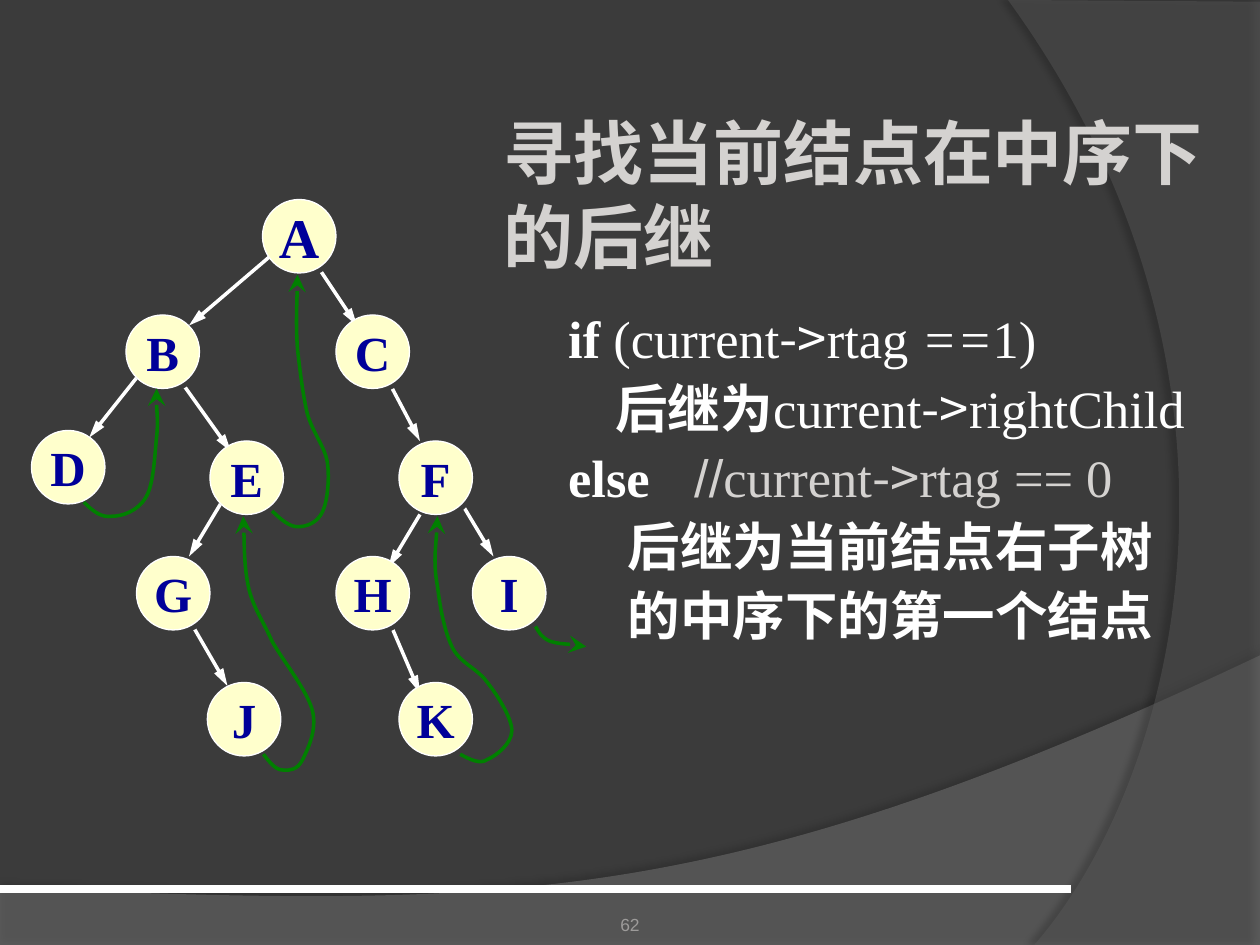
"""Build the slide on finding the in-order successor in a threaded binary tree."""
import pptx
import pptx.util
import pptx.dml.color
import pptx.enum.shapes
import pptx.enum.text
import pptx.oxml.ns
from dataclasses import dataclass
from lxml import etree

Pt = pptx.util.Pt
qn = pptx.oxml.ns.qn
Align = pptx.enum.text.PP_ALIGN
Anchor = pptx.enum.text.MSO_ANCHOR


@dataclass(frozen=True)
class Theme:
    background: str = "3B3B3B"
    bottom_swoosh: str = "7F7F7F"
    right_swoosh: str = "5E5E5E"
    white: str = "FFFFFF"
    black: str = "000000"
    muted: str = "D4D2D0"
    page_number: str = "9D9B9A"
    node_fill: str = "FFFFCC"
    node_text: str = "000099"
    thread: str = "008000"
    serif: str = "Times New Roman"
    sans: str = "Arial"
    chinese: str = "Noto Sans CJK SC"
    title_size: float = 40
    body_size: float = 30
    root_size: float = 32
    node_size: float = 28
    small_size: float = 10


THEME = Theme()
NODE_DIAMETER = 42
NODES = {
    "A": (150, 114), "B": (72, 180), "D": (18, 246), "E": (120, 252),
    "C": (192, 180), "F": (228, 252), "H": (192, 318), "I": (270, 318),
    "K": (228, 390), "G": (78, 318), "J": (118.5, 390),
}
EDGES = [
    (180, 150, 204, 186), (221, 216, 240, 252), (264, 288, 282, 318),
    (240, 294, 222, 324), (222, 354, 240, 396), (155.5, 145.5, 108, 186),
    (102, 216, 132, 258), (126, 288, 108, 318), (108, 354, 130, 392),
    (78, 216, 51, 250),
]
THREADS = [
    [(48, 287), (53, 292, 58, 296, 64, 295), (70, 295, 79, 292, 83.5, 284),
     (88, 276.5, 88.5, 259, 89.5, 250), (90.5, 241, 89.5, 235, 89.5, 230),
     (89.5, 225, 89.5, 223, 89.5, 222)],
    [(155.5, 292), (160.5, 297, 165.5, 301, 170, 301), (175, 301, 181.5, 299, 184.5, 292),
     (187, 286.5, 188.5, 273.5, 187, 264), (185.5, 255, 178.5, 247, 175.5, 236),
     (173, 225, 171.5, 212.5, 170, 199.5), (169, 186, 170, 163.5, 170, 157)],
    [(150.5, 431), (154, 435.5, 157.5, 440, 161.5, 440), (165.5, 440.5, 170, 440, 173, 434),
     (175.5, 428.5, 181.5, 417.5, 178.5, 406), (175.5, 394.5, 162, 378, 155.5, 366.5),
     (150, 354, 144.5, 347, 142, 335.5), (139.5, 323.5, 139.5, 302.5, 139, 295)],
    [(263, 431), (268.5, 434, 274.5, 437, 278.5, 434), (283.5, 432, 292.5, 425, 292.5, 417.5),
     (292.5, 410.5, 284.5, 397.5, 278.5, 390), (273.5, 382.5, 264, 379.5, 259, 371),
     (254, 361.5, 251.5, 347, 250, 335), (247.5, 322, 250, 301.5, 250, 295)],
    [(306, 358), (308, 361.5, 309.5, 364.5, 314.5, 366.5), (319.5, 368, 331, 368.5, 335, 369.5)],
]
BOTTOM = [(0, 507.5), (0, 540.5), (720, 540.5), (720, 374.5), (402.5, 525, 281.5, 517.5, 0, 507.5)]
RIGHT = [(720, 1), (720, 540), (591, 540), (673, 446, 733, 216, 576, 0)]
PLAIN = {}
BOLD = {"bold": True}
CODE = {"font": THEME.chinese}
COMMENT = {"color": THEME.muted}
BODY = [
    (0, [("if", BOLD), (" (current", PLAIN), ("->", CODE), ("rtag ", PLAIN),
         ("==", {"italic": True}), ("1)", PLAIN)]),
    (27, [("后继为", BOLD), ("current", PLAIN), ("->", CODE), ("rightChild", PLAIN)]),
    (0, [("else\t", BOLD), ("//", {"font": THEME.sans, **COMMENT}), ("current", COMMENT),
         ("->", {**CODE, **COMMENT}), ("rtag == 0", COMMENT)]),
    (34, [("后继为当前结点右子树", BOLD)]),
    (34, [("的中序下的第一个结点", BOLD)]),
]


def rgb(color):
    return pptx.dml.color.RGBColor.from_string(color)


def add_child(parent, tag, **attributes):
    return etree.SubElement(parent, qn(tag), attributes)


def format_span(span, size, color=THEME.white, font=THEME.serif, bold=False, italic=False):
    span.font.size, span.font.name = Pt(size), font
    span.font.bold, span.font.italic = bold, italic
    span.font.color.rgb = rgb(color)
    add_child(span.font._element, "a:ea", typeface=THEME.chinese)


def place(shape, left, top, width, height):
    shape.left, shape.top, shape.width, shape.height = map(Pt, (left, top, width, height))


def set_frame(frame, anchor, wrap=True, insets=(7.2, 3.6, 7.2, 3.6)):
    frame.auto_size = pptx.enum.text.MSO_AUTO_SIZE.NONE
    frame.word_wrap, frame.vertical_anchor = wrap, anchor
    (frame.margin_left, frame.margin_top,
     frame.margin_right, frame.margin_bottom) = map(Pt, insets)


def add_outline(slide, segments, close):
    corners = [tuple(map(Pt, segment[-2:])) for segment in segments]
    builder = slide.shapes.build_freeform(*corners[0], scale=1.0)
    builder.add_line_segments(corners[1:], close=close)
    shape = builder.convert_to_shape()
    shape.shadow.inherit = False
    for segment, straight in zip(segments[1:], list(shape.element.iter(qn("a:lnTo")))):
        if len(segment) == 6:
            curve = etree.Element(qn("a:cubicBezTo"))
            for x, y in zip(segment[::2], segment[1::2]):
                add_child(curve, "a:pt", x=str(Pt(x) - shape.left), y=str(Pt(y) - shape.top))
            straight.getparent().replace(straight, curve)
    return shape


def add_shadow(shape, color, opacity, blur, distance, direction):
    effects = shape.element.spPr.find(qn("a:effectLst"))
    shadow = add_child(effects, "a:outerShdw", blurRad=str(Pt(blur)), dist=str(Pt(distance)),
                       dir=str(direction * 60000), algn="ctr", rotWithShape="0")
    tint = add_child(shadow, "a:srgbClr", val=color)
    add_child(tint, "a:alpha", val=str(opacity * 1000))


def add_swoosh(slide, segments, color, opacity, shade, distance, direction):
    shape = add_outline(slide, segments, True)
    shape.fill.solid()
    shape.fill.fore_color.rgb = rgb(color)
    shape.line.fill.background()
    tint = shape.element.spPr.find(".//" + qn("a:srgbClr"))
    add_child(tint, "a:alpha", val=str(opacity * 1000))
    add_shadow(shape, THEME.black, shade, 4, distance, direction)


def style_line(shape, color, width, arrow=None, arrow_width="med"):
    shape.line.color.rgb = rgb(color)
    shape.line.width = Pt(width)
    if arrow:
        outline = shape.element.spPr.find(qn("a:ln"))
        add_child(outline, "a:tailEnd", type=arrow, w=arrow_width, len="lg")


def add_line(slide, ends, width, arrow=None):
    line = slide.shapes.add_connector(pptx.enum.shapes.MSO_CONNECTOR.STRAIGHT, *map(Pt, ends))
    style_line(line, THEME.white, width, arrow)
    add_child(line.element.spPr, "a:effectLst")


def add_thread(slide, segments):
    thread = add_outline(slide, segments, False)
    thread.fill.background()
    style_line(thread, THEME.thread, 2, "stealth", "lg")


def add_node(slide, letter, left, top):
    node = slide.shapes.add_shape(pptx.enum.shapes.MSO_SHAPE.OVAL, *map(
        Pt, (left, top, NODE_DIAMETER, NODE_DIAMETER)))
    node.shadow.inherit = False
    node.fill.solid()
    node.fill.fore_color.rgb = rgb(THEME.node_fill)
    style_line(node, THEME.white, 0.75)
    add_shadow(node, THEME.background, 100, 0, 2.8, 45)
    set_frame(node.text_frame, Anchor.MIDDLE, wrap=False)
    node.text_frame.text = letter
    para = node.text_frame.paragraphs[0]
    para.alignment = Align.CENTER
    size = THEME.root_size if letter == "A" else THEME.node_size
    format_span(para.runs[0], size, THEME.node_text, bold=True)


def add_page_number(slide):
    box = slide.shapes.add_textbox(Pt(246), Pt(505.5), Pt(228), Pt(29))
    set_frame(box.text_frame, Anchor.BOTTOM, insets=(0, 3.6, 0, 0))
    box.text_frame.text = "62"
    para = box.text_frame.paragraphs[0]
    para.alignment = Align.CENTER
    format_span(para.runs[0], THEME.small_size, THEME.page_number, THEME.sans)


def fill_title(title):
    place(title, 280.5, 59, 414, 103)
    set_frame(title.text_frame, Anchor.MIDDLE, insets=(7.2, 3.6, 3.6, 3.6))
    title.text_frame.text = "寻找当前结点在中序下的后继"
    para = title.text_frame.paragraphs[0]
    para.alignment, para.line_spacing = Align.LEFT, Pt(48)
    format_span(para.runs[0], THEME.title_size, THEME.muted, bold=True)


def fill_body(body):
    place(body, 317.5, 168, 389, 245)
    set_frame(body.text_frame, Anchor.TOP)
    for index, (indent, spans) in enumerate(BODY):
        para = body.text_frame.add_paragraph() if index else body.text_frame.paragraphs[0]
        para.alignment, para.line_spacing, para.space_before = Align.LEFT, Pt(39.5), Pt(0)
        properties = para._p.get_or_add_pPr()
        properties.set("marL", str(Pt(indent)))
        properties.set("indent", "0")
        add_child(properties, "a:buNone")
        if any("\t" in text for text, _ in spans):
            add_child(add_child(properties, "a:tabLst"), "a:tab", pos=str(Pt(66)), algn="l")
        for text, style in spans:
            span = para.add_run()
            span.text = text
            format_span(span, THEME.body_size, **style)


def main():
    deck = pptx.Presentation()
    deck.slide_width, deck.slide_height = Pt(720), Pt(540)
    slide = deck.slides.add_slide(deck.slide_layouts[1])
    slide.background.fill.solid()
    slide.background.fill.fore_color.rgb = rgb(THEME.background)
    title, body = slide.placeholders
    add_swoosh(slide, BOTTOM, THEME.bottom_swoosh, 45, 35, 3.5, 270)
    add_swoosh(slide, RIGHT, THEME.right_swoosh, 40, 45, 4, 180)
    add_line(slide, (0, 508, 612, 508), 4.5)
    add_page_number(slide)
    for ends in EDGES:
        add_line(slide, ends, 2, "triangle")
    for placeholder in (body, title):
        slide.shapes.element.append(placeholder.element)
    fill_title(title)
    fill_body(body)
    for letter, corner in NODES.items():
        add_node(slide, letter, *corner)
    for segments in THREADS:
        add_thread(slide, segments)
    deck.save("out.pptx")


main()
